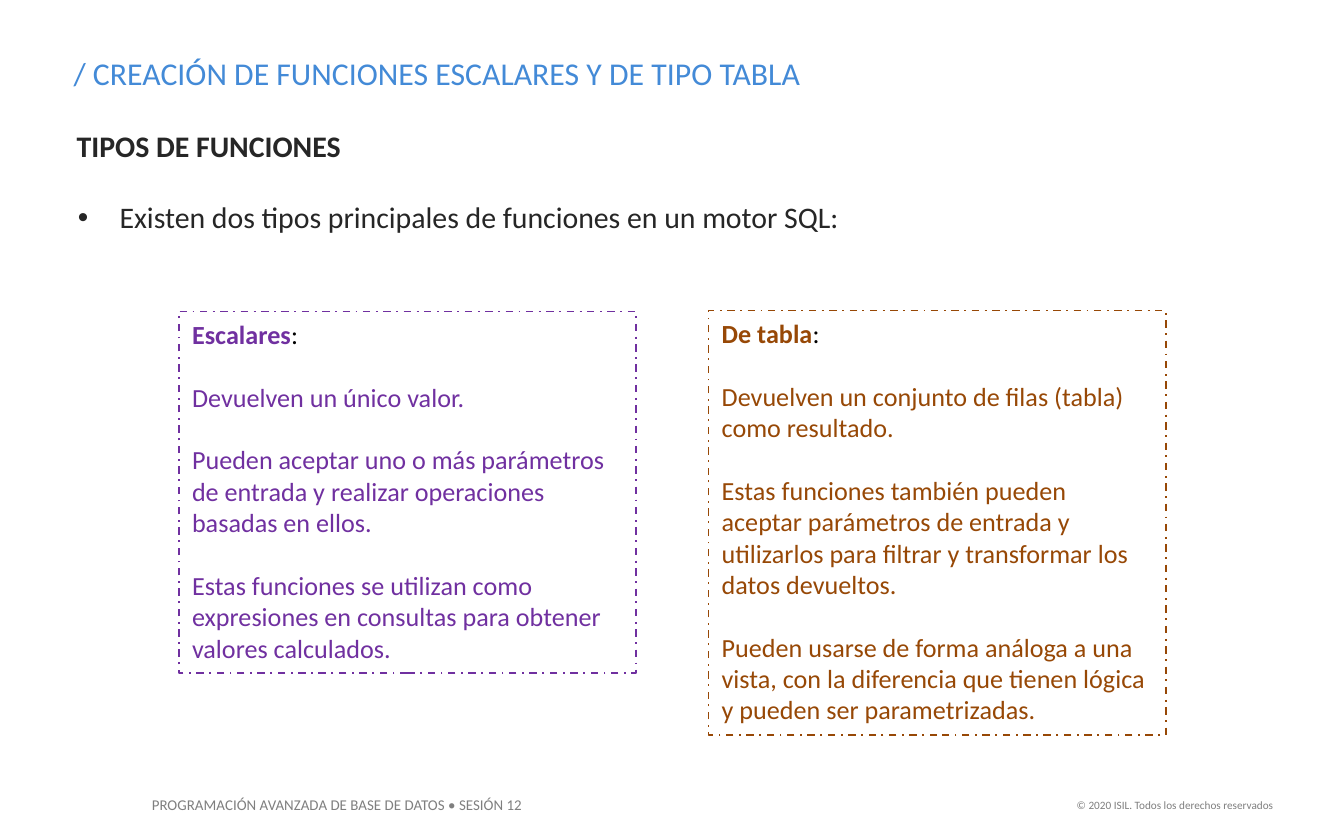
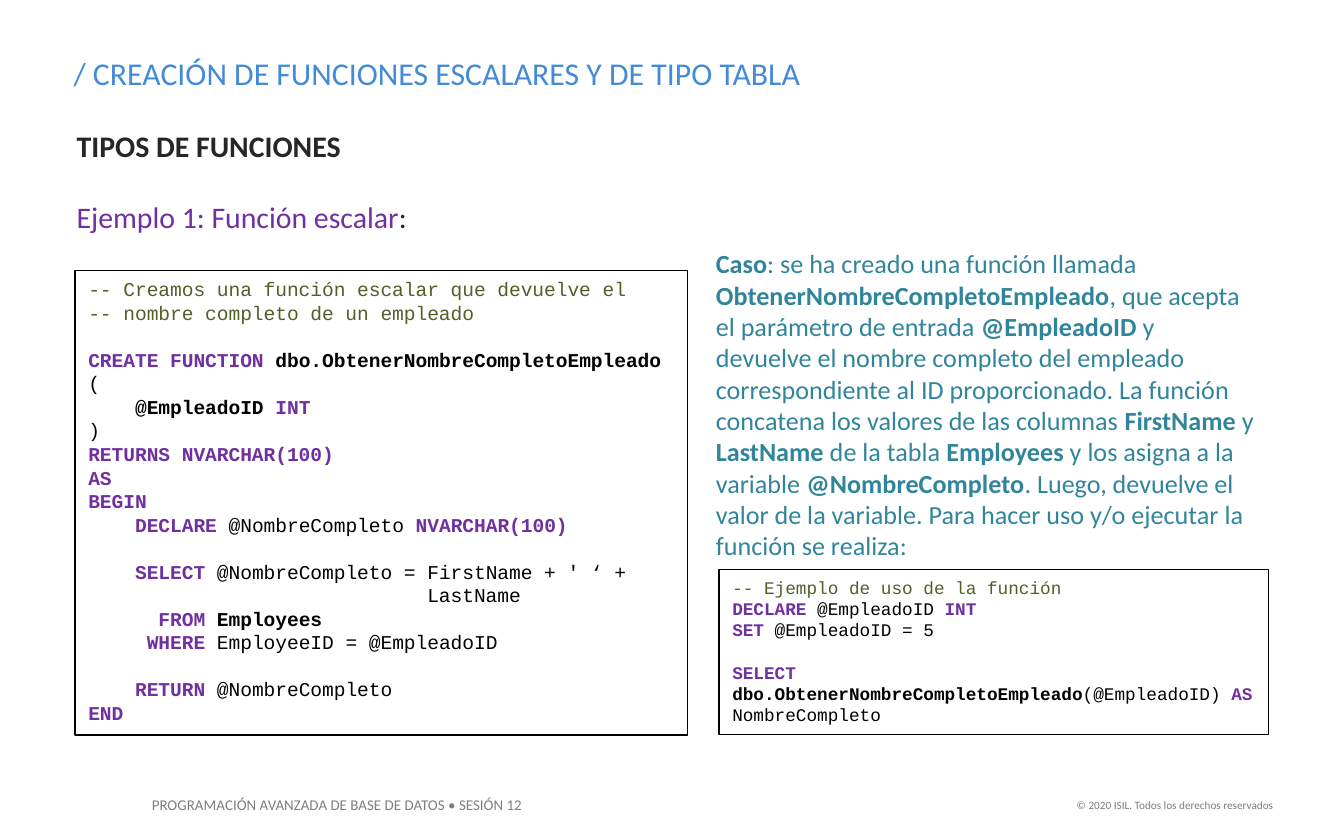
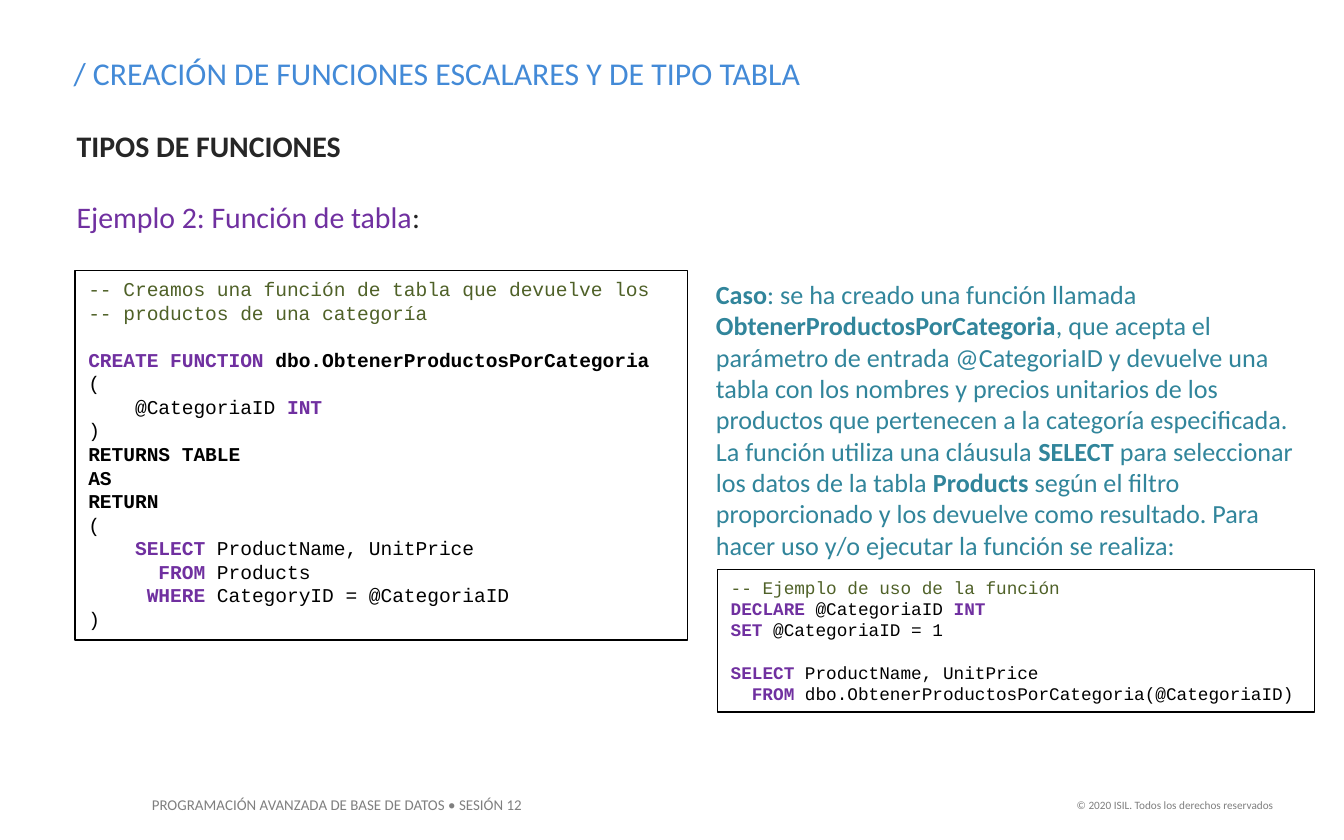
from dataclasses import dataclass
from typing import NamedTuple

from lxml.etree import SubElement
from pptx import Presentation
from pptx.dml.color import RGBColor
from pptx.enum.dml import MSO_LINE_DASH_STYLE as Dash
from pptx.enum.shapes import MSO_SHAPE as Shape
from pptx.enum.text import MSO_ANCHOR as Anchor, MSO_AUTO_SIZE as AutoSize, PP_ALIGN as Align
from pptx.oxml.ns import qn
from pptx.util import Cm, Pt

BLUE = RGBColor(0x43, 0x8A, 0xD7)
INK = RGBColor(0x26, 0x26, 0x26)
BLACK = RGBColor(0x00, 0x00, 0x00)
GRAY = RGBColor(0x7F, 0x7F, 0x7F)
PURPLE = RGBColor(0x70, 0x30, 0xA0)
BROWN = RGBColor(0x97, 0x48, 0x06)
TEAL = RGBColor(0x31, 0x85, 0x9B)
GREEN = RGBColor(0x4F, 0x61, 0x28)

LINE_HEIGHT = 1.2
TITLE = "/ CREACIÓN DE FUNCIONES ESCALARES Y DE TIPO TABLA"
SECTION = "TIPOS DE FUNCIONES"
COURSE = "PROGRAMACIÓN AVANZADA DE BASE DE DATOS • SESIÓN 12"
RIGHTS = "© 2020 ISIL. Todos los derechos reservados"


class Span(NamedTuple):
    text: str
    color: RGBColor
    bold: bool = False


class Place(NamedTuple):
    left: float
    top: float
    width: float
    height: float


class Style(NamedTuple):
    size: float
    font: str = "Calibri"
    align: Align = Align.LEFT
    inset: tuple[float, float] = (0.25, 0.13)


Line = list[Span]

TITLE_STYLE = Style(17)
BODY_STYLE = Style(16, align=Align.JUSTIFY, inset=(0, 0))
TEXT_STYLE = Style(14)
CODE_STYLE = Style(10.5, "Courier New")
USAGE_STYLE = Style(9.5, "Courier New")

TITLE_PLACE = Place(1.14, 0.89, 20.02, 0.99)
BODY_PLACE = Place(1.42, 2.41, 22.48, 2.06)


@dataclass
class Card:
    name: str
    color: RGBColor
    place: Place
    facts: list[str]


@dataclass
class Example:
    heading: str
    code: str
    code_place: Place
    case: str
    case_place: Place
    usage: str
    usage_place: Place


FOOTERS = [
    (COURSE, Place(2.62, 14.91, 7.82, 0.61), Style(8)),
    (RIGHTS, Place(20.02, 14.96, 4.29, 0.51), Style(6, align=Align.RIGHT)),
]

CARDS = [
    Card("Escalares", PURPLE, Place(3.38, 5.89, 8.64, 6.83), [
        "Devuelven un único valor.",
        "Pueden aceptar uno o más parámetros de entrada y realizar operaciones basadas en ellos.",
        "Estas funciones se utilizan como expresiones en consultas para obtener valores calculados.",
    ]),
    Card("De tabla", BROWN, Place(13.39, 5.87, 8.64, 8.03), [
        "Devuelven un conjunto de filas (tabla) como resultado.",
        "Estas funciones también pueden aceptar parámetros de entrada y utilizarlos para filtrar "
        "y transformar los datos devueltos.",
        "Pueden usarse de forma análoga a una vista, con la diferencia que tienen lógica y pueden "
        "ser parametrizadas.",
    ]),
]

SCALAR_CODE = """\
-- Creamos una función escalar que devuelve el
-- nombre completo de un empleado

*#CREATE FUNCTION* *dbo.ObtenerNombreCompletoEmpleado*
(
    *@EmpleadoID* *#INT*
)
*#RETURNS NVARCHAR(100)*
*#AS*
*#BEGIN*
    *#DECLARE* @NombreCompleto *#NVARCHAR(100)*

    *#SELECT* @NombreCompleto = FirstName + ' ‘ +
                             LastName
      *#FROM* *Employees*
     *#WHERE* EmployeeID = @EmpleadoID

    *#RETURN* @NombreCompleto
*#END*"""

SCALAR_USAGE = """\
-- Ejemplo de uso de la función
*#DECLARE* @EmpleadoID *#INT*
*#SET* @EmpleadoID = 5

*#SELECT* *dbo.ObtenerNombreCompletoEmpleado*(@EmpleadoID) *#AS* NombreCompleto"""

TABLE_CODE = """\
-- Creamos una función de tabla que devuelve los
-- productos de una categoría

*#CREATE FUNCTION* *dbo.ObtenerProductosPorCategoria*
(
    @CategoriaID *#INT*
)
*RETURNS TABLE*
*AS*
*RETURN*
(
    *#SELECT* ProductName, UnitPrice
      *#FROM* Products
     *#WHERE* CategoryID = @CategoriaID
)"""

TABLE_USAGE = """\
-- Ejemplo de uso de la función
*#DECLARE* @CategoriaID *#INT*
*#SET* @CategoriaID = 1

*#SELECT* ProductName, UnitPrice
  *#FROM* dbo.ObtenerProductosPorCategoria(@CategoriaID)"""

EXAMPLES = [
    Example(
        "Ejemplo 1: Función escalar",
        SCALAR_CODE, Place(1.42, 5.11, 11.58, 8.79),
        "*Caso*: se ha creado una función llamada *ObtenerNombreCompletoEmpleado*, que acepta el "
        "parámetro de entrada *@EmpleadoID* y devuelve el nombre completo del empleado "
        "correspondiente al ID proporcionado. La función concatena los valores de las columnas "
        "*FirstName* y *LastName* de la tabla *Employees* y los asigna a la variable "
        "*@NombreCompleto*. Luego, devuelve el valor de la variable. Para hacer uso y/o ejecutar "
        "la función se realiza:",
        Place(13.28, 4.55, 10.69, 6.25),
        SCALAR_USAGE, Place(13.59, 10.77, 10.39, 3.12),
    ),
    Example(
        "Ejemplo 2: Función de tabla",
        TABLE_CODE, Place(1.42, 5.11, 11.58, 6.99),
        "*Caso*: se ha creado una función llamada *ObtenerProductosPorCategoria*, que acepta el "
        "parámetro de entrada @CategoriaID y devuelve una tabla con los nombres y precios "
        "unitarios de los productos que pertenecen a la categoría especificada. La función "
        "utiliza una cláusula *SELECT* para seleccionar los datos de la tabla *Products* según "
        "el filtro proporcionado y los devuelve como resultado. Para hacer uso y/o ejecutar la "
        "función se realiza:",
        Place(13.28, 5.13, 11.58, 5.64),
        TABLE_USAGE, Place(13.56, 10.77, 11.28, 2.69),
    ),
]


def lengths(place: Place) -> list[Cm]:
    return [Cm(value) for value in place]


def marked_line(text: str, color: RGBColor) -> Line:
    if text.startswith("--"):
        return [Span(text, GREEN)]
    spans = []
    for index, part in enumerate(text.split("*")):
        if part:
            tint = PURPLE if part.startswith("#") else color
            spans.append(Span(part.lstrip("#"), tint, index % 2 == 1))
    return spans


def code_lines(code: str) -> list[Line]:
    return [marked_line(text, BLACK) for text in code.splitlines()]


def write_lines(box, lines: list[Line], style: Style) -> None:
    frame = box.text_frame
    frame.word_wrap = True
    frame.auto_size = AutoSize.NONE
    frame.vertical_anchor = Anchor.TOP
    frame.margin_left = frame.margin_right = Cm(style.inset[0])
    frame.margin_top = frame.margin_bottom = Cm(style.inset[1])
    line_height = Pt(style.size * LINE_HEIGHT)
    para, gap = None, 0
    for line in lines:
        if not line:
            gap = line_height
            continue
        para = frame.add_paragraph() if para else frame.paragraphs[0]
        para.alignment = style.align
        para.line_spacing = line_height
        para.space_before, gap = gap, 0
        for span in line:
            run = para.add_run()
            run.text = span.text
            run.font.name = style.font
            run.font.size = Pt(style.size)
            run.font.bold = span.bold
            run.font.color.rgb = span.color


def set_bullet(para, char: str = "") -> None:
    properties = para._p.get_or_add_pPr()
    properties.set("marL", str(Cm(0.84 if char else 0.03)))
    properties.set("indent", str(Cm(-0.79 if char else 0)))
    if char:
        color = SubElement(properties, qn("a:buClr"))
        SubElement(color, qn("a:srgbClr")).set("val", str(INK))
        SubElement(properties, qn("a:buFont")).set("typeface", "Arial")
        SubElement(properties, qn("a:buChar")).set("char", char)
    else:
        SubElement(properties, qn("a:buNone"))


def add_text(page, place: Place, lines: list[Line], style: Style) -> None:
    write_lines(page.shapes.add_textbox(*lengths(place)), lines, style)


def add_frame(page, place: Place, lines: list[Line], style: Style,
              color: RGBColor = BLACK, width: float = 0.75, dash: Dash = Dash.SOLID) -> None:
    box = page.shapes.add_shape(Shape.RECTANGLE, *lengths(place))
    box.shadow.inherit = False
    box.fill.background()
    box.line.color.rgb = color
    box.line.width = Pt(width)
    box.line.dash_style = dash
    write_lines(box, lines, style)


def add_page(deck, heading: Line, bullet: str = ""):
    page = deck.slides.add_slide(deck.slide_layouts[1])
    for text, place, style in FOOTERS:
        add_text(page, place, [[Span(text, GRAY)]], style)
    title, body = page.placeholders
    for box, place in ((title, TITLE_PLACE), (body, BODY_PLACE)):
        box.left, box.top, box.width, box.height = lengths(place)
    write_lines(title, [[Span(TITLE, BLUE)]], TITLE_STYLE)
    write_lines(body, [[Span(SECTION, INK, True)], [], heading], BODY_STYLE)
    section_para, heading_para = body.text_frame.paragraphs
    set_bullet(section_para)
    set_bullet(heading_para, bullet)
    if bullet:
        heading_para.alignment = Align.LEFT
    return page


def add_types_page(deck) -> None:
    intro = "Existen dos tipos principales de funciones en un motor SQL:"
    page = add_page(deck, [Span(intro, INK)], "•")
    for card in CARDS:
        lines = [[Span(card.name, card.color, True), Span(":", BLACK)]]
        for fact in card.facts:
            lines += [[], [Span(fact, card.color)]]
        add_frame(page, card.place, lines, TEXT_STYLE, card.color, 1, Dash.DASH_DOT)


def add_example_page(deck, example: Example) -> None:
    page = add_page(deck, [Span(example.heading, PURPLE), Span(":", INK)])
    add_frame(page, example.code_place, code_lines(example.code), CODE_STYLE)
    add_text(page, example.case_place, [marked_line(example.case, TEAL)], TEXT_STYLE)
    add_frame(page, example.usage_place, code_lines(example.usage), USAGE_STYLE)


def main() -> None:
    deck = Presentation()
    deck.slide_width, deck.slide_height = Cm(25.4), Cm(15.88)
    add_types_page(deck)
    for example in EXAMPLES:
        add_example_page(deck, example)
    deck.save("out.pptx")


if __name__ == "__main__":
    main()
